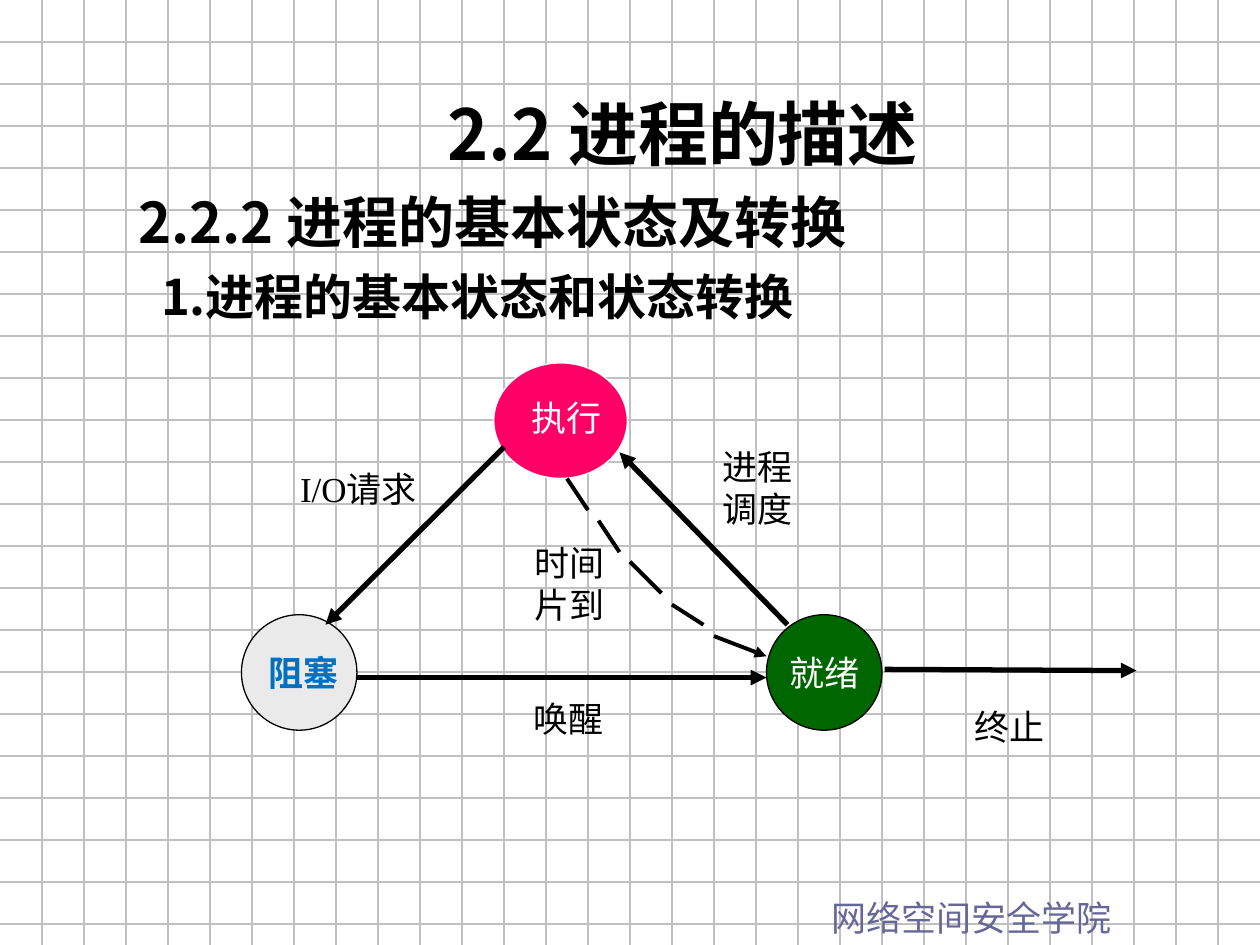
"""Build a slide on process states and the moves between them."""
from lxml import etree
from pptx import Presentation
from pptx.dml.color import RGBColor
from pptx.enum import shapes, text
from pptx.oxml import ns
from pptx.util import Pt

SIZE = (720, 540)
STEP = 24
SANS, JP, SERIF = "Noto Sans CJK SC", "Noto Sans CJK JP", "Times New Roman"
LABEL = dict(size=20, name=SERIF, color="000000", bold=False)
LIGHT = dict(LABEL, color="FFFFFF")
TITLE = dict(size=40, name=JP, color="000000", bold=True)
HEAD = dict(size=32, name=SANS, color="000000", bold=True)
SUB = dict(HEAD, size=28)
FOOT = dict(size=20, name=JP, color="666699", bold=False)

HEADS = [
    (36, -36, [("2.2.2 ", HEAD), ("进程的基本状态及转换", dict(HEAD, name=SERIF))]),
    (36, -23, [("1.", SUB), ("进程的基本状态和状态转换", dict(SUB, name=SERIF))]),
]
STATES = [
    ((138, 351.3, 66, 66), "EAEAEA", "000000", "阻塞", dict(LABEL, color="0070C0", bold=True), 12),
    ((438, 351.3, 66, 66), "006600", "000000", "就绪", LIGHT, 7.2),
    ((282.2, 207.4, 76.3, 66), "FF0066", "FFFFFF", "", LIGHT, 7.2),
]
MOVES = [
    (450, 357, 354, 258.5),
    (288, 255.5, 186, 357),
    (204, 387.2, 438, 387.2),
    (505.5, 382.5, 649.5, 383.2),
]
DASHES = [
    (324, 273.5, 336, 291.5),
    (342, 297.5, 354, 315.5),
    (360, 321, 378, 339),
    (384, 345.5, 402, 357),
]
LAST = (408, 363.5, 438, 375)
LABELS = [
    ((406, 275, 54, 31.7), ["调度"]),
    ((162, 263.5, 85.7, 31.7), ["I/O请求"]),
    ((406, 251.2, 54, 31.7), ["进程"]),
    ((298, 395.3, 54, 31.7), ["唤醒"]),
    ((298.5, 306, 54, 55.4), ["时间", "片到"]),
    ((550, 399.6, 54, 31.7), ["终止"]),
]


def tint(code):
    return RGBColor.from_string(code)


def write(para, words, look):
    run = para.add_run()
    run.text = words
    for key, val in look.items():
        if key == "color":
            run.font.color.rgb = tint(val)
        else:
            setattr(run.font, key, Pt(val) if key == "size" else val)
    east = etree.SubElement(run.font._element, ns.qn("a:ea"))
    east.set("typeface", JP if look["name"] == JP else SANS)


def box(slide, place, lines, look, side=7.2, align=text.PP_ALIGN.CENTER):
    frame = slide.shapes.add_textbox(*map(Pt, place)).text_frame
    frame.word_wrap = True
    frame.margin_left = frame.margin_right = Pt(side)
    for i, words in enumerate(lines):
        para = frame.add_paragraph() if i else frame.paragraphs[0]
        para.alignment = align
        write(para, words, look)


def link(slide, ends, width, color="000000", head=False):
    line = slide.shapes.add_connector(shapes.MSO_CONNECTOR.STRAIGHT, *map(Pt, ends))
    line.line.width = Pt(width)
    line.line.color.rgb = tint(color)
    if head:
        tail = etree.SubElement(line.line._get_or_add_ln(), ns.qn("a:tailEnd"))
        tail.set("type", "triangle")
    etree.SubElement(line._element.spPr, ns.qn("a:effectLst"))


def grid(slide):
    wide, high = SIZE
    for y in range(STEP, high, STEP):
        link(slide, (0, y, wide, y), 0.75, "C0C0C0")
    for x in range(STEP, wide, STEP):
        link(slide, (x, 0, x, high), 0.75, "C0C0C0")


def heads(slide):
    frame = slide.shapes.add_textbox(*map(Pt, (72, 96, 618, 93.6))).text_frame
    frame.word_wrap = True
    for i, (left, first, runs) in enumerate(HEADS):
        para = frame.add_paragraph() if i else frame.paragraphs[0]
        para.line_spacing = 1.2
        props = para._p.get_or_add_pPr()
        props.set("marL", str(Pt(left)))
        props.set("indent", str(Pt(first)))
        for words, look in runs:
            write(para, words, look)


def state(slide, place, fill, edge, words, look, inset):
    oval = slide.shapes.add_shape(shapes.MSO_SHAPE.OVAL, *map(Pt, place))
    oval.shadow.inherit = False
    oval.fill.solid()
    oval.fill.fore_color.rgb = tint(fill)
    oval.line.color.rgb = tint(edge)
    oval.line.width = Pt(0.75)
    if words:
        frame = oval.text_frame
        frame.word_wrap = False
        frame.margin_left = Pt(inset)
        frame.vertical_anchor = text.MSO_ANCHOR.MIDDLE
        frame.paragraphs[0].alignment = text.PP_ALIGN.CENTER
        write(frame.paragraphs[0], words, look)


def main():
    deck = Presentation()
    deck.slide_width, deck.slide_height = map(Pt, SIZE)
    slide = deck.slides.add_slide(deck.slide_layouts[6])
    grid(slide)
    box(slide, (468, 509, 252, 31.7), ["网络空间安全学院"], FOOT, align=text.PP_ALIGN.LEFT)
    heads(slide)
    box(slide, (102, 48, 576, 55.4), ["2.2 进程的描述"], TITLE)
    for item in STATES:
        state(slide, *item)
    box(slide, (283.7, 222.8, 80, 31.7), ["执行"], LIGHT)
    for ends in MOVES:
        link(slide, ends, 3, head=True)
    for ends in DASHES:
        link(slide, ends, 2.25)
    link(slide, LAST, 2.25, head=True)
    for place, lines in LABELS:
        box(slide, place, lines, LABEL, side=3)
    deck.save("out.pptx")


if __name__ == "__main__":
    main()
